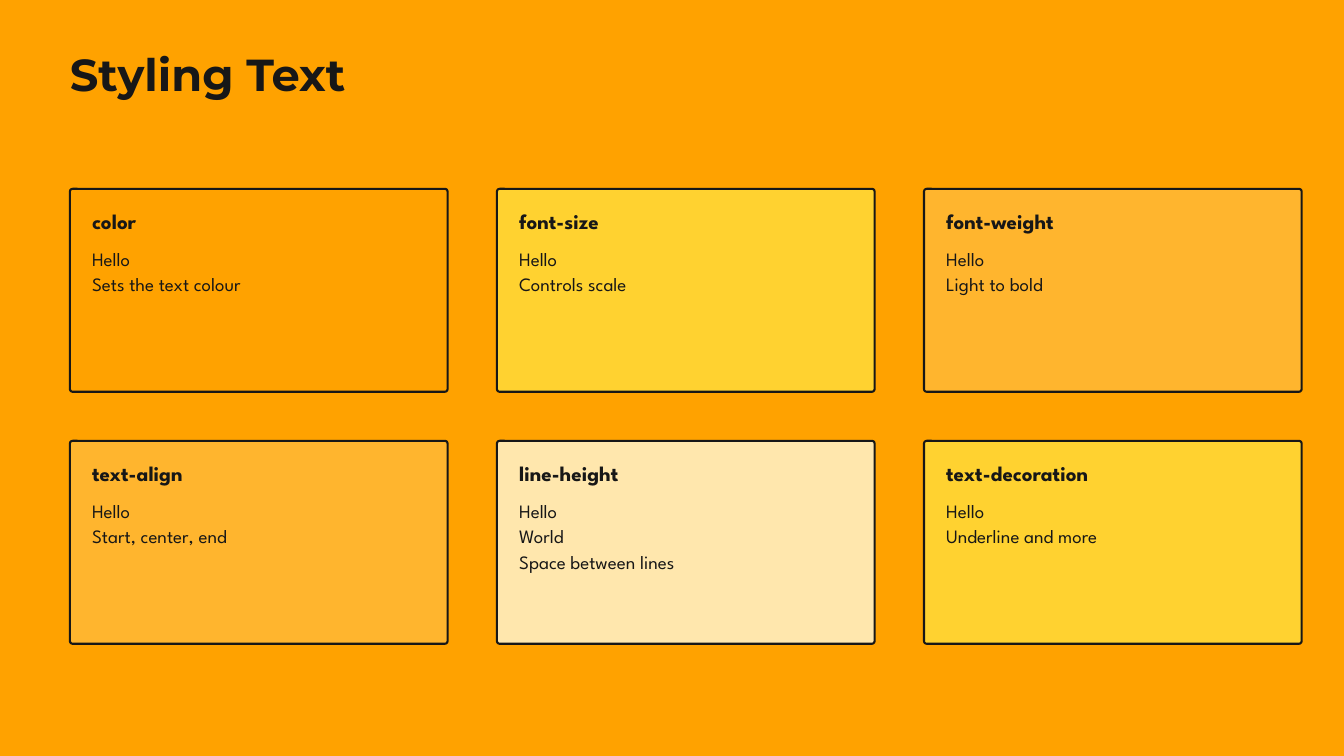
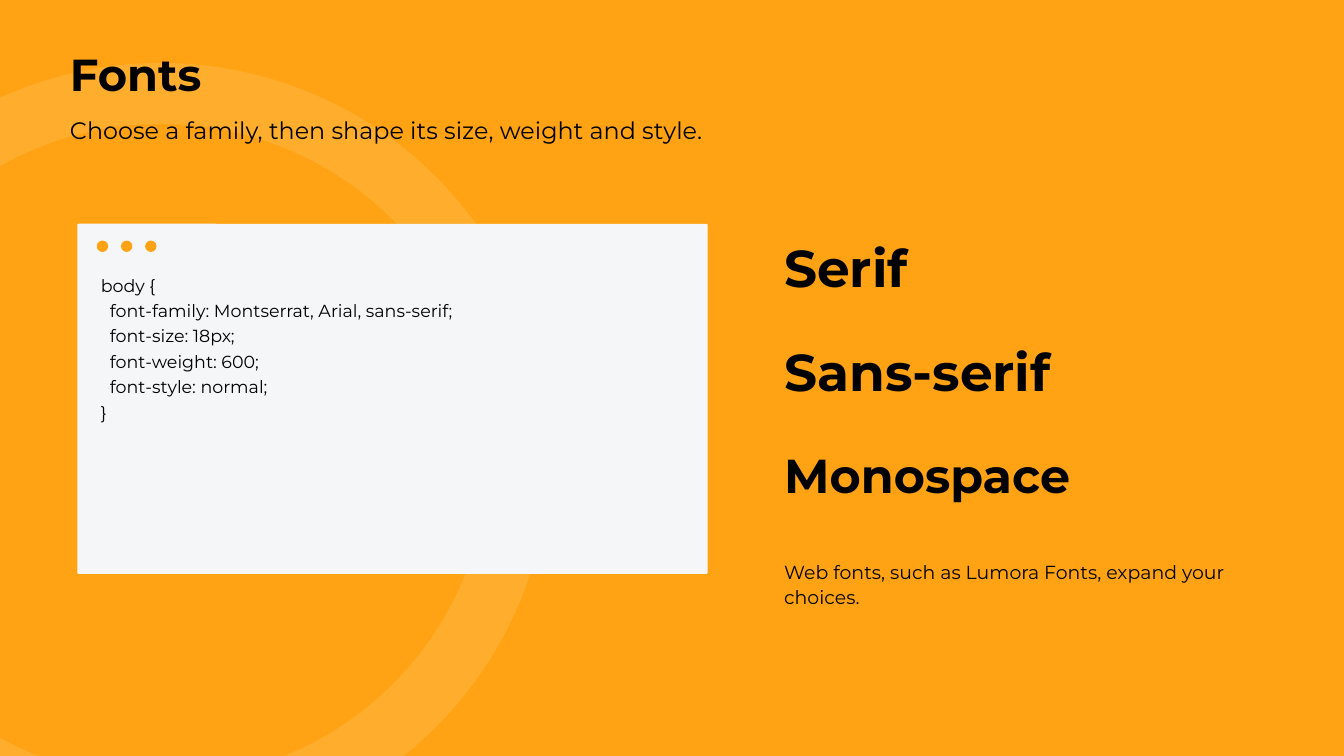
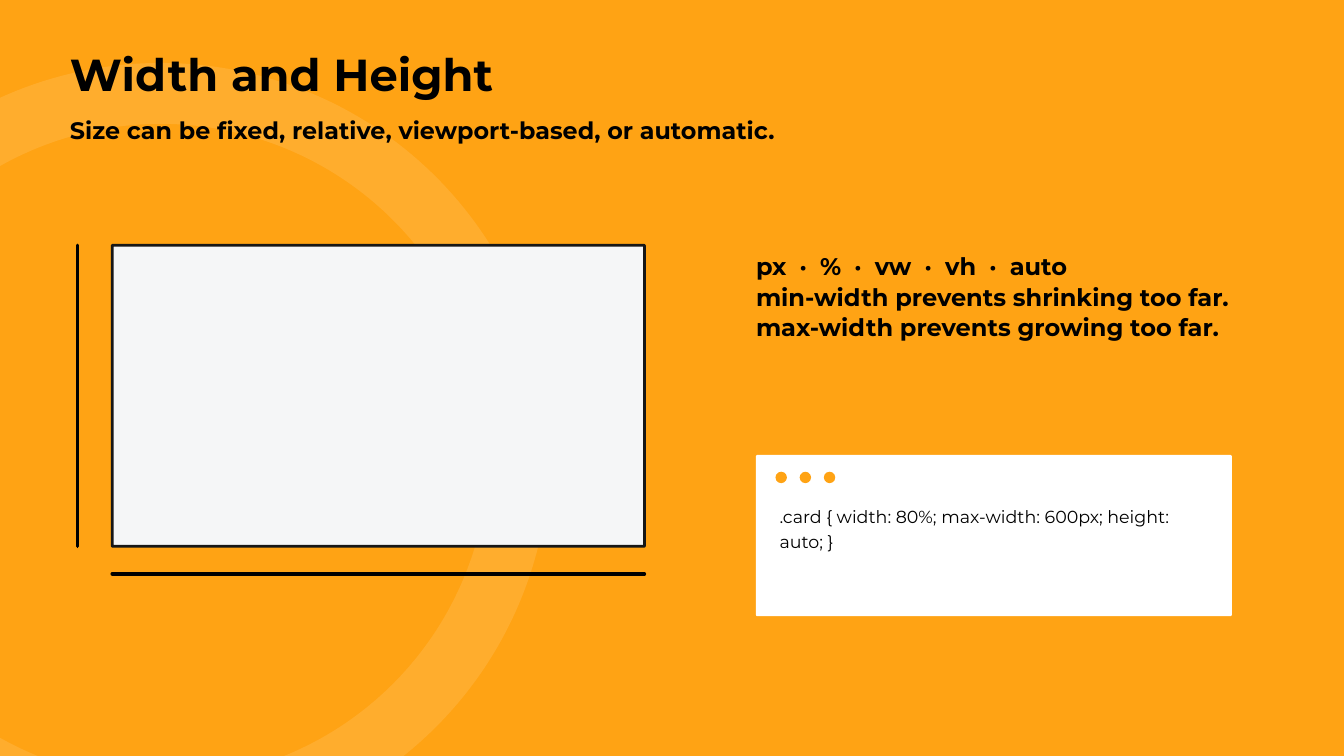
import copy

import pptx
import pptx.dml.color
import pptx.enum.shapes
import pptx.enum.text
import pptx.oxml
import pptx.oxml.ns
import pptx.util

Inches = pptx.util.Inches
Pt = pptx.util.Pt
SHAPES = pptx.enum.shapes.MSO_SHAPE

COLOURS = {
    "orange": "FFA200",
    "soft orange": "FFA314",
    "amber": "FFB52E",
    "yellow": "FFD230",
    "cream": "FFE7AD",
    "ink": "171717",
    "black": "000000",
    "white": "FFFFFF",
    "mist": "F5F6F7",
}
HEADING_FONT = "Montserrat"
CARD_FONT = "League Spartan"
MARGIN = 1.04
CONTENT_WIDTH = 17.92
CARD_WIDTH, CARD_HEIGHT = 5.62, 3.02
CARD_TOP = 2.81
COLUMN_PITCH, ROW_PITCH = (13.75 - MARGIN) / 2, 3.75

CARDS = [
    ("color", ["Hello", "Sets the text colour"], "orange"),
    ("font-size", ["Hello", "Controls scale"], "yellow"),
    ("font-weight", ["Hello", "Light to bold"], "amber"),
    ("text-align", ["Hello", "Start, center, end"], "amber"),
    ("line-height", ["Hello", "World", "Space between lines"], "cream"),
    ("text-decoration", ["Hello", "Underline and more"], "yellow"),
]
FONT_RULE = [
    "body {",
    "  font-family: Montserrat, Arial, sans-serif;",
    "  font-size: 18px;",
    "  font-weight: 600;",
    "  font-style: normal;",
    "}",
]
FAMILIES = [("Serif", 55.5, 56.6), ("Sans-serif", 55.5, 56.6), ("Monospace", 51, 52)]
SIZE_NOTES = [
    "px · % · vw · vh · auto",
    "min-width prevents shrinking too far.",
    "max-width prevents growing too far.",
]


def rgb(name):
    return pptx.dml.color.RGBColor.from_string(COLOURS[name])


def add_slide(deck, background):
    slide = deck.slides.add_slide(deck.slide_layouts[6])
    slide.background.fill.solid()
    slide.background.fill.fore_color.rgb = rgb(background)
    return slide


def add_text(slide, lines, left, top, width, size, leading, bold=False,
             font=HEADING_FONT, colour="black"):
    """Add one paragraph per line, with exact line spacing in points."""
    height = len(lines) * leading / 72
    box = slide.shapes.add_textbox(Inches(left), Inches(top), Inches(width), Inches(height))
    frame = box.text_frame
    frame.margin_left = frame.margin_top = frame.margin_right = frame.margin_bottom = 0
    frame.word_wrap = True
    frame.auto_size = pptx.enum.text.MSO_AUTO_SIZE.SHAPE_TO_FIT_TEXT
    frame.text = "\n".join(lines)
    for paragraph in frame.paragraphs:
        paragraph.line_spacing = Pt(leading)
        for run in paragraph.runs:
            run.font.name = font
            run.font.size = Pt(size)
            run.font.bold = bold
            run.font.color.rgb = rgb(colour)
    return frame


def widen_spaces(paragraph, extra):
    """Give every space in a one-run paragraph extra points of width."""
    template = paragraph.runs[0]
    words = template.text.split(" ")
    template.text = words[0]
    for word in words[1:]:
        for piece in (" ", word):
            paragraph._p.append(copy.deepcopy(template._r))
            run = paragraph.runs[-1]
            run.text = piece
            if piece == " ":
                run._r.get_or_add_rPr().set("spc", str(round(extra * 100)))


def add_shape(slide, kind, left, top, width, height, fill=None, line=None, weight=1):
    shape = slide.shapes.add_shape(
        kind, Inches(left), Inches(top), Inches(width), Inches(height))
    shape.shadow.inherit = False
    if fill:
        shape.fill.solid()
        shape.fill.fore_color.rgb = rgb(fill)
    else:
        shape.fill.background()
    if line:
        shape.line.color.rgb = rgb(line)
        shape.line.width = Pt(weight)
    else:
        shape.line.fill.background()
    return shape


def add_panel(slide, left, top, width, height, radius, fill, line=None, weight=1):
    panel = add_shape(slide, SHAPES.ROUNDED_RECTANGLE, left, top, width, height,
                      fill, line, weight)
    panel.adjustments[0] = radius / min(width, height)


def add_title(slide, title, colour="black"):
    add_text(slide, [title], MARGIN, 0.78, CONTENT_WIDTH, 48, 51.8, True, colour=colour)


def add_subtitle(slide, subtitle, bold=False):
    add_text(slide, [subtitle], MARGIN, 1.71, CONTENT_WIDTH, 25.5, 31.9, bold)


def add_ring(slide):
    ring = add_shape(slide, SHAPES.OVAL, -2.94, 1.39, 10.67, 10.67, line="white", weight=65.25)
    ring_colour = ring.line._ln.find(".//" + pptx.oxml.ns.qn("a:srgbClr"))
    ring_colour.append(pptx.oxml.parse_xml(
        f'<a:alpha {pptx.oxml.ns.nsdecls("a")} val="11000"/>'))


def add_measure(slide, start, end):
    measure = slide.shapes.add_connector(
        pptx.enum.shapes.MSO_CONNECTOR.STRAIGHT, *map(Inches, start + end))
    measure.line.color.rgb = rgb("black")
    measure.line.width = Pt(3.75)
    measure.line._ln.set("cap", "rnd")
    measure._element.spPr.append(pptx.oxml.parse_xml(
        f'<a:effectLst {pptx.oxml.ns.nsdecls("a")}/>'))


def add_property_card(slide, left, top, name, lines, fill):
    add_panel(slide, left, top, CARD_WIDTH, CARD_HEIGHT, 0.04, fill, "ink", 2.25)
    text_left, text_width = left + 0.33, CARD_WIDTH - 0.66
    add_text(slide, [name], text_left, top + 0.28, text_width, 22.5, 28.1, True,
             CARD_FONT, "ink")
    add_text(slide, lines, text_left, top + 0.83, text_width, 20.25, 27.3, False,
             CARD_FONT, "ink")


def add_code_window(slide, left, top, width, height, fill, code):
    add_panel(slide, left, top, width, height, 0.02, fill)
    for button in range(3):
        add_shape(slide, SHAPES.OVAL, left + 0.29 + button * 0.36, top + 0.25,
                  0.17, 0.17, "soft orange")
    add_text(slide, code, left + 0.35, top + 0.69, width - 0.7, 18.75, 27.2)


def build_styling_text(deck):
    slide = add_slide(deck, "orange")
    add_title(slide, "Styling Text", "ink")
    for index, card in enumerate(CARDS):
        row, column = divmod(index, 3)
        add_property_card(slide, MARGIN + column * COLUMN_PITCH,
                          CARD_TOP + row * ROW_PITCH, *card)


def build_fonts(deck):
    slide = add_slide(deck, "soft orange")
    add_ring(slide)
    add_title(slide, "Fonts")
    add_subtitle(slide, "Choose a family, then shape its size, weight and style.")
    add_code_window(slide, 1.15, 3.33, 9.38, 5.21, "mist", FONT_RULE)
    for index, (family, size, leading) in enumerate(FAMILIES):
        add_text(slide, [family], 11.67, 3.64 + index * 1.56, 6.77, size, leading, True)
    add_text(slide, ["Web fonts, such as Lumora Fonts, expand your choices."],
             11.67, 8.3, 6.77, 20.25, 27.3)


def build_width_and_height(deck):
    slide = add_slide(deck, "soft orange")
    add_ring(slide)
    add_title(slide, "Width and Height")
    add_subtitle(slide, "Size can be fixed, relative, viewport-based, or automatic.", True)
    left, top, width, height = 1.67, 3.65, 7.92, 4.48
    add_panel(slide, left, top, width, height, 0.01, "mist", "ink", 3)
    add_measure(slide, (left, 8.54), (left + width, 8.54))
    add_measure(slide, (1.15, top), (1.15, top + height))
    notes = add_text(slide, SIZE_NOTES, 11.25, 3.73, 7.08, 25.8, 32.3, True)
    widen_spaces(notes.paragraphs[0], 6.8)
    add_code_window(slide, 11.25, 6.77, 7.08, 2.4, "white",
                    [".card { width: 80%; max-width: 600px; height: auto; }"])


def main():
    deck = pptx.Presentation()
    deck.slide_width, deck.slide_height = Inches(20), Inches(11.25)
    build_styling_text(deck)
    build_fonts(deck)
    build_width_and_height(deck)
    deck.save("out.pptx")


if __name__ == "__main__":
    main()
